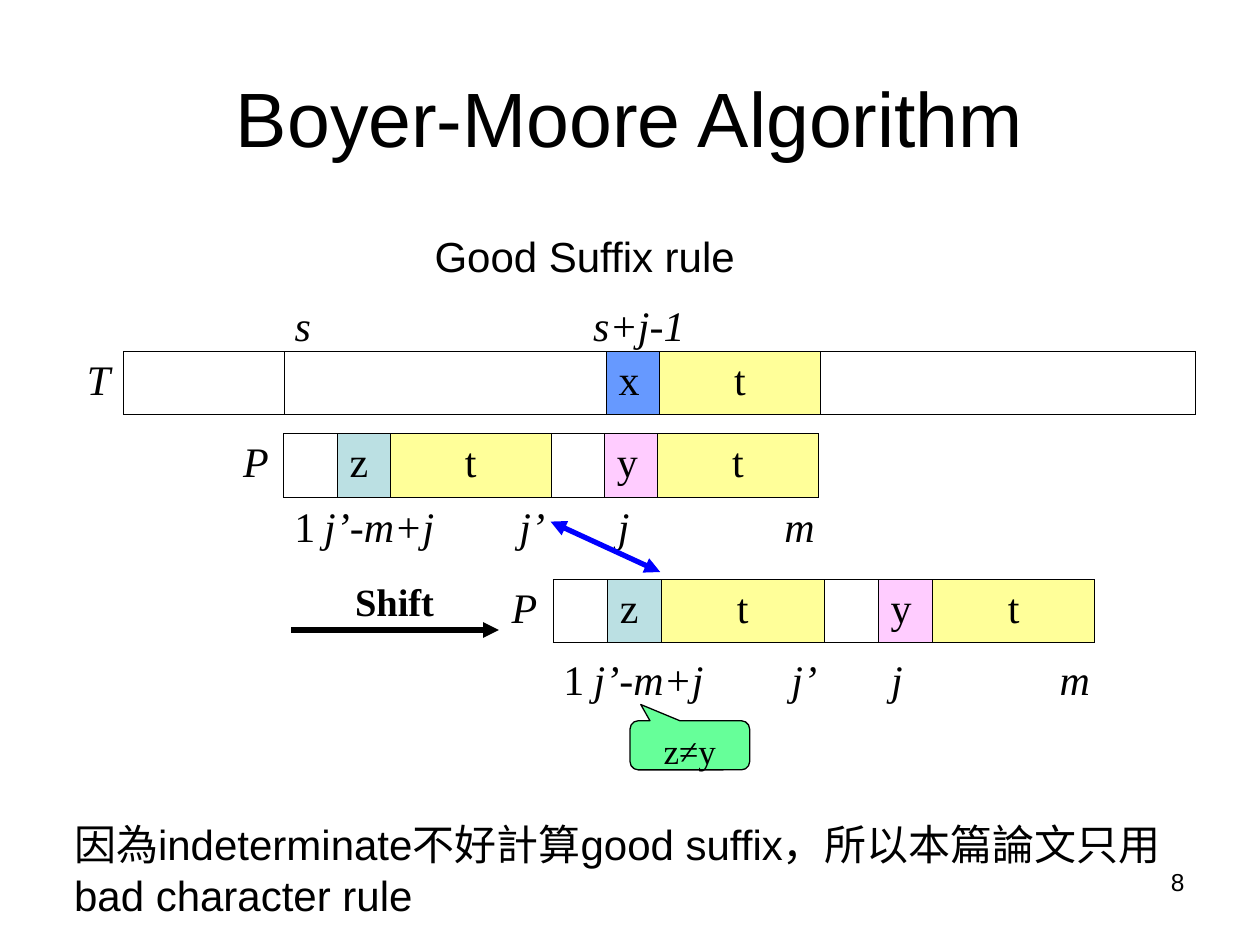
from dataclasses import dataclass
from typing import Optional

from lxml.etree import SubElement
from pptx import Presentation
from pptx.dml.color import RGBColor
from pptx.enum.shapes import MSO_CONNECTOR as Connector, MSO_SHAPE as Shape
from pptx.enum.text import MSO_ANCHOR as Anchor, PP_ALIGN as Align
from pptx.oxml import parse_xml
from pptx.oxml.ns import nsdecls, qn
from pptx.util import Inches, Pt

SERIF, SANS = "Times New Roman", "Arial"
BLACK, BLUE, GREEN = "000000", "0000FF", "66FF99"
YELLOW, TEAL, PINK, SKY = "FFFF99", "BBE0E3", "FFCCFF", "6699FF"


@dataclass
class Cell:
    units: int
    text: str = ""
    fill: Optional[str] = None


@dataclass
class Strip:
    """A one-row table: a name cell, then cells measured in character units."""
    name: str
    left: float
    top: float
    height: float
    name_width: float
    unit: float
    cells: list[Cell]


@dataclass
class Label:
    text: str
    left: float
    top: float
    width: float
    height: float = 0.5
    size: float = 24
    font: str = SERIF
    italic: bool = False
    bold: bool = False
    align: Align = Align.LEFT
    wrap: bool = True


@dataclass
class Arrow:
    start: tuple[float, float]
    end: tuple[float, float]
    color: str
    both_ends: bool = False


def rgb(color: str) -> RGBColor:
    return RGBColor.from_string(color)


def write(text_frame, text: str, size: float = 24, font: str = SERIF, italic: bool = False,
          bold: bool = False, align: Align = Align.LEFT) -> None:
    text_frame.text = text
    paragraph = text_frame.paragraphs[0]
    paragraph.alignment = align
    for run in paragraph.runs:
        run.font.name, run.font.size = font, Pt(size)
        run.font.italic, run.font.bold = italic, bold
        run.font.color.rgb = rgb(BLACK)


def add_label(slide, label: Label) -> None:
    box = slide.shapes.add_textbox(Inches(label.left), Inches(label.top),
                                   Inches(label.width), Inches(label.height))
    box.text_frame.word_wrap = label.wrap
    write(box.text_frame, label.text, label.size, label.font, label.italic,
          label.bold, label.align)


def set_borders(cell, sides: str) -> None:
    properties = cell._tc.get_or_add_tcPr()
    for position, side in enumerate("LRTB"):
        width = Pt(0.45) if side in sides else 0
        paint = f'<a:solidFill><a:srgbClr val="{BLACK}"/></a:solidFill>' if width else "<a:noFill/>"
        line = parse_xml(f'<a:ln{side} {nsdecls("a")} w="{width}">{paint}</a:ln{side}>')
        properties.insert(position, line)


def add_strip(slide, strip: Strip) -> None:
    widths = [strip.name_width] + [cell.units * strip.unit for cell in strip.cells]
    table = slide.shapes.add_table(1, len(widths), Inches(strip.left), Inches(strip.top),
                                   Inches(sum(widths)), Inches(strip.height)).table
    table.first_row = table.horz_banding = False
    for column, width in zip(table.columns, widths):
        column.width = Inches(width)
    for index, content in enumerate([Cell(1, strip.name)] + strip.cells):
        cell = table.cell(0, index)
        if content.fill:
            cell.fill.solid()
            cell.fill.fore_color.rgb = rgb(content.fill)
        else:
            cell.fill.background()
        set_borders(cell, "LRTB" if index else "R")
        write(cell.text_frame, content.text, italic=index == 0,
              align=Align.CENTER if content.text == "t" else Align.LEFT)


def add_positions(slide, strip: Strip, top: float) -> None:
    """Write the index labels under a pattern strip."""
    for text, units, width in [("1", 0.96, 0.39), ("j’-m+j", 1.52, 1.1), ("j’", 5.17, 0.47),
                               ("j", 7.01, 0.7), ("m", 10.12, 0.39)]:
        add_label(slide, Label(text, strip.left + units * strip.unit, top, width,
                               italic=text != "1"))


def add_arrow(slide, arrow: Arrow) -> None:
    points = [Inches(value) for value in arrow.start + arrow.end]
    connector = slide.shapes.add_connector(Connector.STRAIGHT, *points)
    connector.line.color.rgb = rgb(arrow.color)
    connector.line.width = Pt(3)
    line = connector.line._get_or_add_ln()
    for end in ["headEnd", "tailEnd"] if arrow.both_ends else ["tailEnd"]:
        SubElement(line, qn(f"a:{end}"), type="triangle")
    SubElement(connector._element.spPr, qn("a:effectLst"))


def add_callout(slide, text: str) -> None:
    shape = slide.shapes.add_shape(Shape.ROUNDED_RECTANGULAR_CALLOUT, Inches(5), Inches(5.72),
                                   Inches(0.95), Inches(0.39))
    for index, value in enumerate([-0.41, -0.83, 0.17]):
        shape.adjustments[index] = value
    shape.shadow.inherit = False
    shape.fill.solid()
    shape.fill.fore_color.rgb = rgb(GREEN)
    shape.line.color.rgb = rgb(BLACK)
    shape.line.width = Pt(0.75)
    shape.text_frame.vertical_anchor = Anchor.TOP
    write(shape.text_frame, text, 20, align=Align.CENTER)


def main() -> None:
    presentation = Presentation()
    presentation.slide_width, presentation.slide_height = Inches(10), Inches(7.5)
    slide = presentation.slides.add_slide(presentation.slide_layouts[5])

    # Title
    title = slide.shapes.title
    title.left, title.top = Inches(0.5), Inches(0.3)
    title.width, title.height = Inches(9), Inches(1.25)
    write(title.text_frame, "Boyer-Moore Algorithm", 44, SANS, align=Align.CENTER)

    # Text and the pattern before and after the shift
    pattern = [Cell(1), Cell(1, "z", TEAL), Cell(3, "t", YELLOW), Cell(1),
               Cell(1, "y", PINK), Cell(3, "t", YELLOW)]
    text = Strip("T", 0.59, 2.79, 0.5, 0.39, 8.51 / 20,
                 [Cell(3), Cell(6), Cell(1, "x", SKY), Cell(3, "t", YELLOW), Cell(7)])
    before = Strip("P", 1.83, 3.44, 0.51, 0.42, 4.67 / 11, pattern)
    after = Strip("P", 3.96, 4.6, 0.5, 0.43, 4.73 / 11, pattern)
    for strip in (text, before, after):
        add_strip(slide, strip)
    add_positions(slide, before, 3.92)
    add_positions(slide, after, 5.14)

    # Labels, remark and slide number
    for label in [
        Label("Good Suffix rule", 3.35, 1.78, 2.59, font=SANS, wrap=False),
        Label("s", 2.24, 2.33, 0.32, italic=True),
        Label("s+j-1", 4.61, 2.33, 1.1, italic=True),
        Label("Shift", 2.72, 4.54, 0.94, 0.47, 22, bold=True),
        Label("因為indeterminate不好計算good suffix，所以本篇論文只用bad character rule",
              0.49, 6.45, 8.84, 0.9, font=SANS),
        Label("8", 7.17, 6.83, 2.33, 0.52, 14, SANS, align=Align.RIGHT),
    ]:
        add_label(slide, label)

    # Callout and arrows
    add_callout(slide, "z≠y")
    add_arrow(slide, Arrow((2.31, 5), (3.96, 5), BLACK))
    add_arrow(slide, Arrow((4.37, 4.14), (5.24, 4.54), BLUE, both_ends=True))

    presentation.save("out.pptx")


if __name__ == "__main__":
    main()
